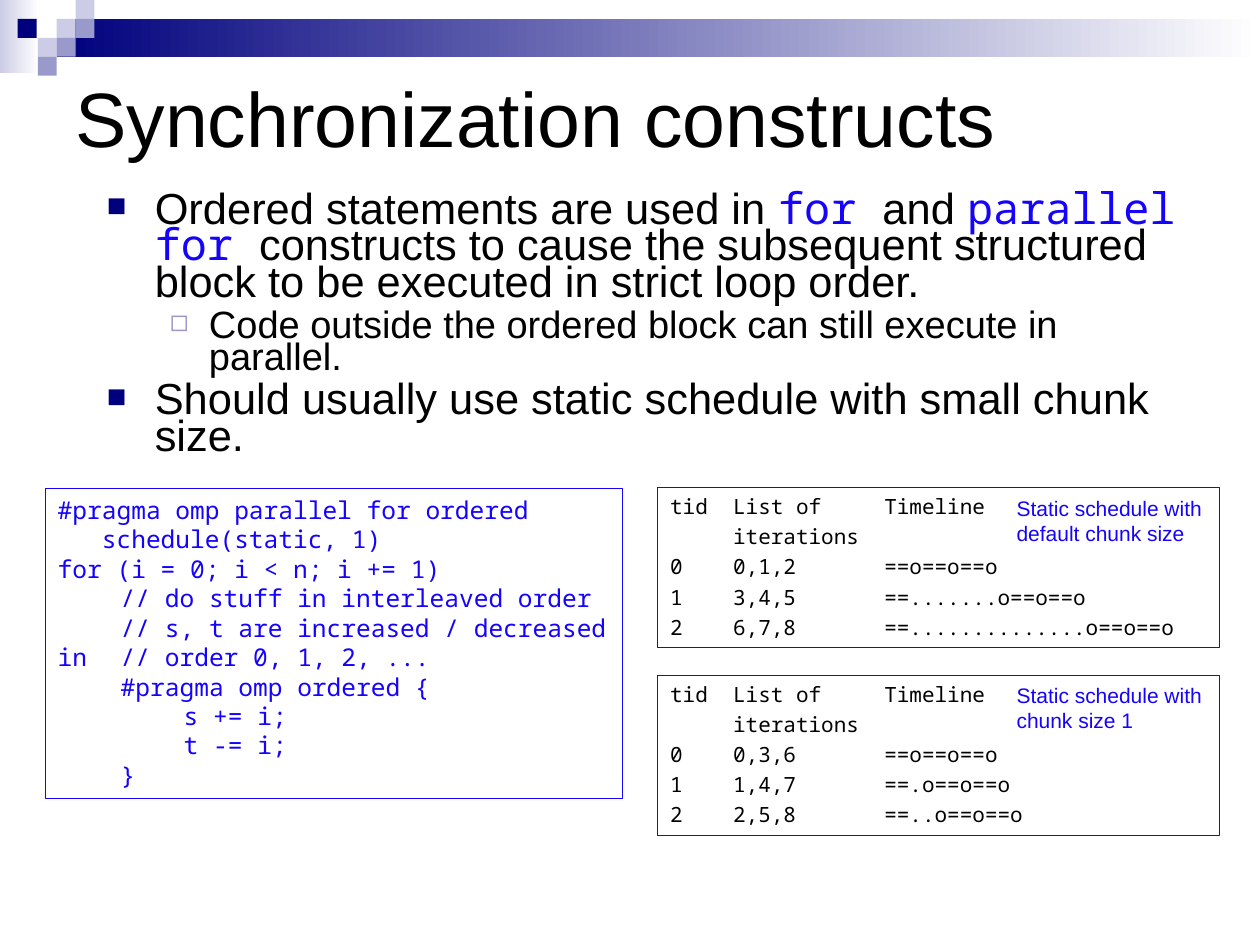
from lxml.etree import SubElement
from pptx import Presentation
from pptx.dml.color import RGBColor
from pptx.enum.shapes import MSO_SHAPE
from pptx.enum.text import MSO_ANCHOR, PP_ALIGN
from pptx.oxml.ns import qn
from pptx.util import Inches, Pt

COLORS = {
    "navy": "00007D",
    "mid": "9999CC",
    "pale": "CCCCE6",
    "white": "FFFFFF",
    "black": "000000",
    "blue": "1503FB",
}
SANS = "Arial"
MONO = "Noto Sans Mono"


def rgb(name):
    return RGBColor.from_string(COLORS[name])


def add_run(p, text, size=12, font=SANS, color="black"):
    r = p.add_run()
    r.text = text
    r.font.size = Pt(size)
    r.font.name = font
    r.font.color.rgb = rgb(color)


def add_tabs(p, stops):
    tabs = SubElement(p._p.get_or_add_pPr(), qn("a:tabLst"))
    for stop in stops:
        SubElement(tabs, qn("a:tab"), pos=str(Inches(stop)), algn="l")


def add_bullet(p, char, color, percent, left, hang):
    pPr = p._p.get_or_add_pPr()
    pPr.set("marL", str(Inches(left)))
    pPr.set("indent", str(-Inches(hang)))
    clr = SubElement(pPr, qn("a:buClr"))
    SubElement(clr, qn("a:srgbClr"), val=COLORS[color])
    SubElement(pPr, qn("a:buSzPct"), val=str(percent * 1000))
    SubElement(pPr, qn("a:buFont"), typeface=SANS)
    SubElement(pPr, qn("a:buChar"), char=char)


class Deck:
    """Holds the presentation, its style and the current slide."""

    def __init__(self):
        self.prs = Presentation()
        self.prs.slide_width = Inches(10)
        self.prs.slide_height = Inches(7.5)
        self.s = self.prs.slides.add_slide(self.prs.slide_layouts[6])

    def rect(self, at, fill=None, fade=None, line=None):
        sp = self.s.shapes.add_shape(MSO_SHAPE.RECTANGLE, *map(Inches, at))
        sp.shadow.inherit = False
        if fade:
            sp.fill.gradient()
            sp.fill.gradient_angle = 0
            for stop, name in zip(sp.fill.gradient_stops, (fill, fade)):
                stop.color.rgb = rgb(name)
        elif fill:
            sp.fill.solid()
            sp.fill.fore_color.rgb = rgb(fill)
        else:
            sp.fill.background()
        if line:
            sp.line.color.rgb = rgb(line)
            sp.line.width = Pt(0.75)
        else:
            sp.line.fill.background()
        return sp

    def text(self, at, text, anchor=MSO_ANCHOR.TOP, **fmt):
        tf = self.frame(at)
        tf.vertical_anchor = anchor
        add_run(tf.paragraphs[0], text, **fmt)

    def frame(self, at):
        tf = self.s.shapes.add_textbox(*map(Inches, at)).text_frame
        tf.word_wrap = True
        return tf

    def bullets(self, at, items):
        styles = [
            dict(char="■", color="navy", percent=75, left=0.38, hang=0.38),
            dict(char="◻", color="mid", percent=80, left=0.81, hang=0.31),
        ]
        sizes = [24.8, 21.7]
        tf = self.frame(at)
        for i, (level, runs) in enumerate(items):
            p = tf.add_paragraph() if i else tf.paragraphs[0]
            p.level = level
            add_bullet(p, **styles[level])
            p.line_spacing = 0.7
            p.space_before = Pt(5 if i else 0)
            for text, fmt in runs:
                add_run(p, text, size=sizes[level], **fmt)

    def listing(self, at, lines, tabs, gap=0, **fmt):
        tf = self.rect(at, line="blue").text_frame
        tf.word_wrap = True
        tf.vertical_anchor = MSO_ANCHOR.TOP
        for i, text in enumerate(lines):
            p = tf.add_paragraph() if i else tf.paragraphs[0]
            add_tabs(p, tabs)
            p.alignment = PP_ALIGN.LEFT
            p.space_before = Pt(gap if i else 0)
            add_run(p, text, font=MONO, **fmt)

    def timeline(self, top, caption, rows):
        lines = ["tid\tList of\tTimeline", "\titerations"]
        lines += [f"{tid}\t{loops}\t{marks}" for tid, (loops, marks) in enumerate(rows)]
        self.listing((5.22, top, 4.46, 1.27), lines, (0.5, 1.7), gap=2.8)
        self.text((7.97, top + 0.01, 1.9, 0.5), caption, color="blue")


def main():
    deck = Deck()
    deck.rect((0, 0, 0.31, 0.58), "pale", fade="white")
    deck.rect((0.45, 0.15, 9.55, 0.3), "navy", fade="white")
    squares = [
        (0.45, 0.15, "pale"), (0.6, 0, "pale"), (0.6, 0.15, "mid"),
        (0.3, 0.3, "pale"), (0.14, 0.15, "navy"), (0.45, 0.3, "mid"),
        (0.3, 0.45, "mid"),
    ]
    for left, top, color in squares:
        deck.rect((left, top, 0.15, 0.15), color)

    deck.text((0.5, 0.5, 9, 0.86), "Synchronization constructs",
              anchor=MSO_ANCHOR.MIDDLE, size=44)

    code = dict(font=MONO, color="blue")
    deck.bullets((0.75, 1.5, 8.71, 2.56), [
        (0, [("Ordered statements are used in ", {}), ("for ", code), ("and ", {}),
             ("parallel for ", code),
             ("constructs to cause the subsequent structured block to be "
              "executed in strict loop order.", {})]),
        (1, [("Code outside the ordered block can still execute in parallel.", {})]),
        (0, [("Should usually use static schedule with small chunk size.", {})]),
    ])

    deck.timeline(3.87, "Static schedule with default chunk size", [
        ("0,1,2", "==o==o==o"),
        ("3,4,5", "==.......o==o==o"),
        ("6,7,8", "==..............o==o==o"),
    ])
    deck.timeline(5.36, "Static schedule with chunk size 1", [
        ("0,3,6", "==o==o==o"),
        ("1,4,7", "==.o==o==o"),
        ("2,5,8", "==..o==o==o"),
    ])
    deck.listing((0.36, 3.88, 4.58, 2.46), [
        "#pragma omp parallel for ordered",
        "   schedule(static, 1)",
        "for (i = 0; i < n; i += 1)",
        "\t// do stuff in interleaved order",
        "\t// s, t are increased / decreased in \t// order 0, 1, 2, ...",
        "\t#pragma omp ordered {",
        "\t\ts += i;",
        "\t\tt -= i;",
        "\t}",
    ], (0.5, 1), size=14, color="blue")
    deck.prs.save("out.pptx")


if __name__ == "__main__":
    main()
